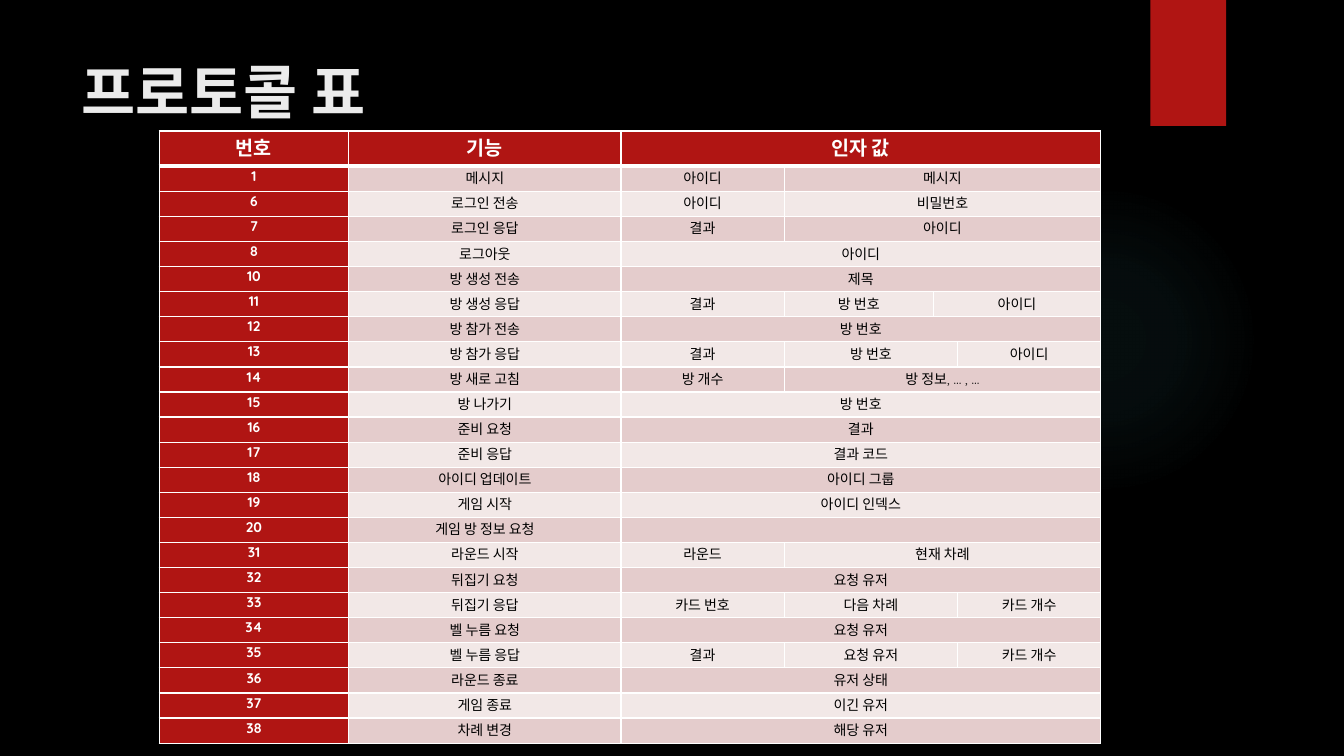
from dataclasses import dataclass

from lxml.etree import SubElement
from pptx import Presentation
from pptx.dml.color import RGBColor
from pptx.enum.shapes import MSO_SHAPE
from pptx.enum.text import MSO_ANCHOR, PP_ALIGN
from pptx.oxml import parse_xml
from pptx.oxml.ns import nsdecls, qn
from pptx.shapes.autoshape import Shape
from pptx.slide import Slide
from pptx.table import Table, _Cell
from pptx.text.text import _Paragraph
from pptx.util import Inches, Pt

COLORS = {
    "background": "000000",
    "accent": "B01513",
    "glow": "50B9C1",
    "title": "EBEBEB",
    "white": "FFFFFF",
    "black": "000000",
    "dark_band": "E4CCCC",
    "light_band": "F2E8E7",
}
FONT = "Quicksand"
SLIDE_WIDTH = Inches(13.33)
SLIDE_HEIGHT = Inches(7.5)
COLUMN_SHARES = (14.1, 20.25, 12.15, 11.1, 1.8, 10.65)
HEADER_SHARE = 4.67
ROW_SHARE = 3.32


@dataclass(frozen=True)
class Box:
    left: float
    top: float
    width: float
    height: float

    def lengths(self) -> tuple[int, int, int, int]:
        return across(self.left), down(self.top), across(self.width), down(self.height)


@dataclass(frozen=True)
class TextStyle:
    size: float
    color: str
    bold: bool


@dataclass(frozen=True)
class Message:
    number: str
    function: str
    arguments: tuple[str, ...]
    spans: tuple[int, ...] = (4,)


PAIR = (1, 3)
TRIPLE = (1, 2, 1)
TITLE = TextStyle(42, "title", True)
HEADER = TextStyle(14, "white", True)
NUMBER = TextStyle(10, "white", True)
BODY = TextStyle(10, "black", False)

HEADING = Message("번호", "기능", ("인자 값",))
MESSAGES = (
    Message("1", "메시지", ("아이디", "메시지"), PAIR),
    Message("6", "로그인 전송", ("아이디", "비밀번호"), PAIR),
    Message("7", "로그인 응답", ("결과", "아이디"), PAIR),
    Message("8", "로그아웃", ("아이디",)),
    Message("10", "방 생성 전송", ("제목",)),
    Message("11", "방 생성 응답", ("결과", "방 번호", "아이디"), (1, 1, 2)),
    Message("12", "방 참가 전송", ("방 번호",)),
    Message("13", "방 참가 응답", ("결과", "방 번호", "아이디"), TRIPLE),
    Message("14", "방 새로 고침", ("방 개수", "방 정보, … , …"), PAIR),
    Message("15", "방 나가기", ("방 번호",)),
    Message("16", "준비 요청", ("결과",)),
    Message("17", "준비 응답", ("결과 코드",)),
    Message("18", "아이디 업데이트", ("아이디 그룹",)),
    Message("19", "게임 시작", ("아이디 인덱스",)),
    Message("20", "게임 방 정보 요청", ("",)),
    Message("31", "라운드 시작", ("라운드", "현재 차례"), PAIR),
    Message("32", "뒤집기 요청", ("요청 유저",)),
    Message("33", "뒤집기 응답", ("카드 번호", "다음 차례", "카드 개수"), TRIPLE),
    Message("34", "벨 누름 요청", ("요청 유저",)),
    Message("35", "벨 누름 응답", ("결과", "요청 유저", "카드 개수"), TRIPLE),
    Message("36", "라운드 종료", ("유저 상태",)),
    Message("37", "게임 종료", ("이긴 유저",)),
    Message("38", "차례 변경", ("해당 유저",)),
)


def across(percent: float) -> int:
    return round(SLIDE_WIDTH * percent / 100)


def down(percent: float) -> int:
    return round(SLIDE_HEIGHT * percent / 100)


def color(name: str) -> RGBColor:
    return RGBColor.from_string(COLORS[name])


def add_run(paragraph: _Paragraph, text: str, style: TextStyle) -> None:
    run = paragraph.add_run()
    run.text = text
    run.font.name = FONT
    run.font.size = Pt(style.size)
    run.font.bold = style.bold
    run.font.color.rgb = color(style.color)


def add_plain_shape(slide: Slide, kind: MSO_SHAPE, box: Box) -> Shape:
    shape = slide.shapes.add_shape(kind, *box.lengths())
    shape.shadow.inherit = False
    shape.line.fill.background()
    return shape


def add_glow(slide: Slide, box: Box) -> None:
    shape = add_plain_shape(slide, MSO_SHAPE.OVAL, box)
    shape.fill.background()
    stops = "".join(
        f'<a:gs pos="{position * 1000}"><a:srgbClr val="{COLORS["glow"]}">'
        f'<a:alpha val="{opacity * 1000}"/></a:srgbClr></a:gs>'
        for position, opacity in ((0, 7), (36, 6), (69, 0))
    )
    gradient = parse_xml(
        f'<a:gradFill {nsdecls("a")}><a:gsLst>{stops}</a:gsLst><a:path path="circle">'
        '<a:fillToRect l="50000" t="50000" r="50000" b="50000"/></a:path></a:gradFill>'
    )
    properties = shape.element.spPr
    properties.replace(properties.find(qn("a:noFill")), gradient)


def add_ribbon(slide: Slide, box: Box) -> None:
    shape = add_plain_shape(slide, MSO_SHAPE.RECTANGLE, box)
    shape.fill.solid()
    shape.fill.fore_color.rgb = color("accent")
    effects = shape.element.spPr.find(qn("a:effectLst"))
    effects.append(parse_xml(
        f'<a:outerShdw {nsdecls("a")} blurRad="{Pt(3)}" dist="{Pt(2)}" dir="5400000">'
        '<a:srgbClr val="000000"><a:alpha val="45000"/></a:srgbClr></a:outerShdw>'
    ))


def add_title(slide: Slide, box: Box, text: str) -> None:
    frame = slide.shapes.add_textbox(*box.lengths()).text_frame
    frame.word_wrap = True
    frame.vertical_anchor = MSO_ANCHOR.TOP
    add_run(frame.paragraphs[0], text, TITLE)


def format_cell(cell: _Cell, fill: str, size: float, bottom: float) -> None:
    cell.margin_left = cell.margin_right = Inches(0.07)
    cell.margin_top = cell.margin_bottom = 0
    properties = cell._tc.get_or_add_tcPr()
    for side, width in (("L", 1), ("R", 1), ("T", 1), ("B", bottom)):
        properties.append(parse_xml(
            f'<a:ln{side} {nsdecls("a")} w="{Pt(width)}"><a:solidFill>'
            f'<a:srgbClr val="{COLORS["white"]}"/></a:solidFill></a:ln{side}>'
        ))
    cell.fill.solid()
    cell.fill.fore_color.rgb = color(fill)
    paragraph = cell.text_frame.paragraphs[0]
    paragraph.alignment = PP_ALIGN.CENTER
    paragraph.line_spacing = 1.07
    SubElement(paragraph._p, qn("a:endParaRPr"), sz=str(size * 100))


def fill_row(table: Table, row: int, message: Message) -> None:
    is_header = row == 0
    band = "accent" if is_header else "dark_band" if row % 2 else "light_band"
    number_style, body_style = (HEADER, HEADER) if is_header else (NUMBER, BODY)
    for column in range(len(COLUMN_SHARES)):
        fill = band if column else "accent"
        format_cell(table.cell(row, column), fill, body_style.size, 3 if is_header else 1)
    texts = (message.number, message.function, *message.arguments)
    column = 0
    for text, span in zip(texts, (1, 1, *message.spans)):
        cell = table.cell(row, column)
        if span > 1:
            cell.merge(table.cell(row, column + span - 1))
        if text:
            style = body_style if column else number_style
            add_run(cell.text_frame.paragraphs[0], text, style)
        column += span


def add_protocol_table(slide: Slide, left: float, top: float) -> None:
    rows = (HEADING, *MESSAGES)
    height = HEADER_SHARE + ROW_SHARE * len(MESSAGES)
    box = Box(left, top, sum(COLUMN_SHARES), height)
    table = slide.shapes.add_table(len(rows), len(COLUMN_SHARES), *box.lengths()).table
    for column, share in zip(table.columns, COLUMN_SHARES):
        column.width = across(share)
    for index, message in enumerate(rows):
        table.rows[index].height = down(ROW_SHARE if index else HEADER_SHARE)
        fill_row(table, index, message)


def main() -> None:
    presentation = Presentation()
    presentation.slide_width = SLIDE_WIDTH
    presentation.slide_height = SLIDE_HEIGHT
    slide = presentation.slides.add_slide(presentation.slide_layouts[6])
    slide.background.fill.solid()
    slide.background.fill.fore_color.rgb = color("background")
    add_glow(slide, Box(70.59, 24.4, 23.1, 41.07))
    add_ribbon(slide, Box(85.6, 0, 5.63, 16.67))
    add_title(slide, Box(5.33, 6.67, 77.2, 14.4), "프로토콜 표")
    add_protocol_table(slide, 11.85, 17.33)
    presentation.save("out.pptx")


if __name__ == "__main__":
    main()
